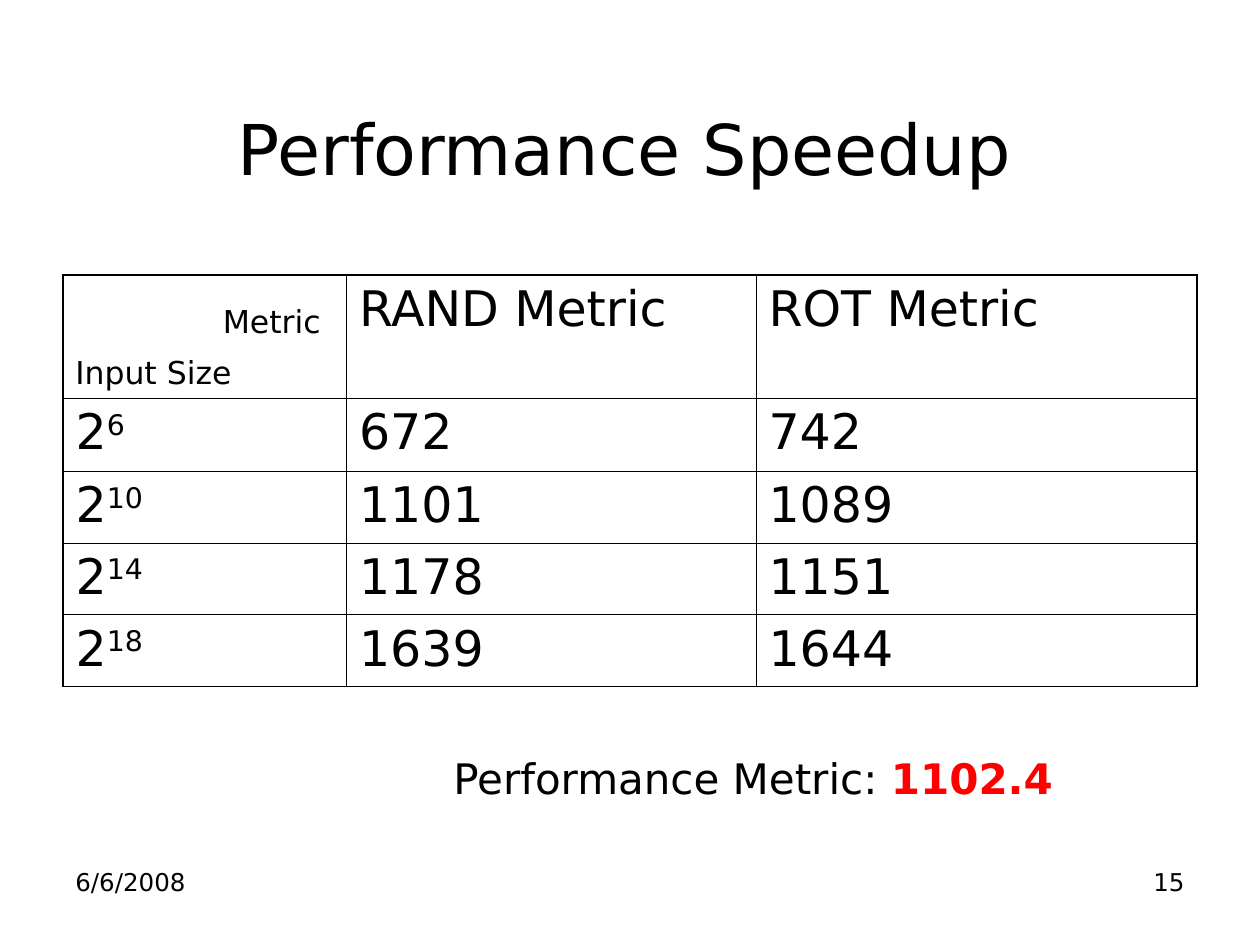
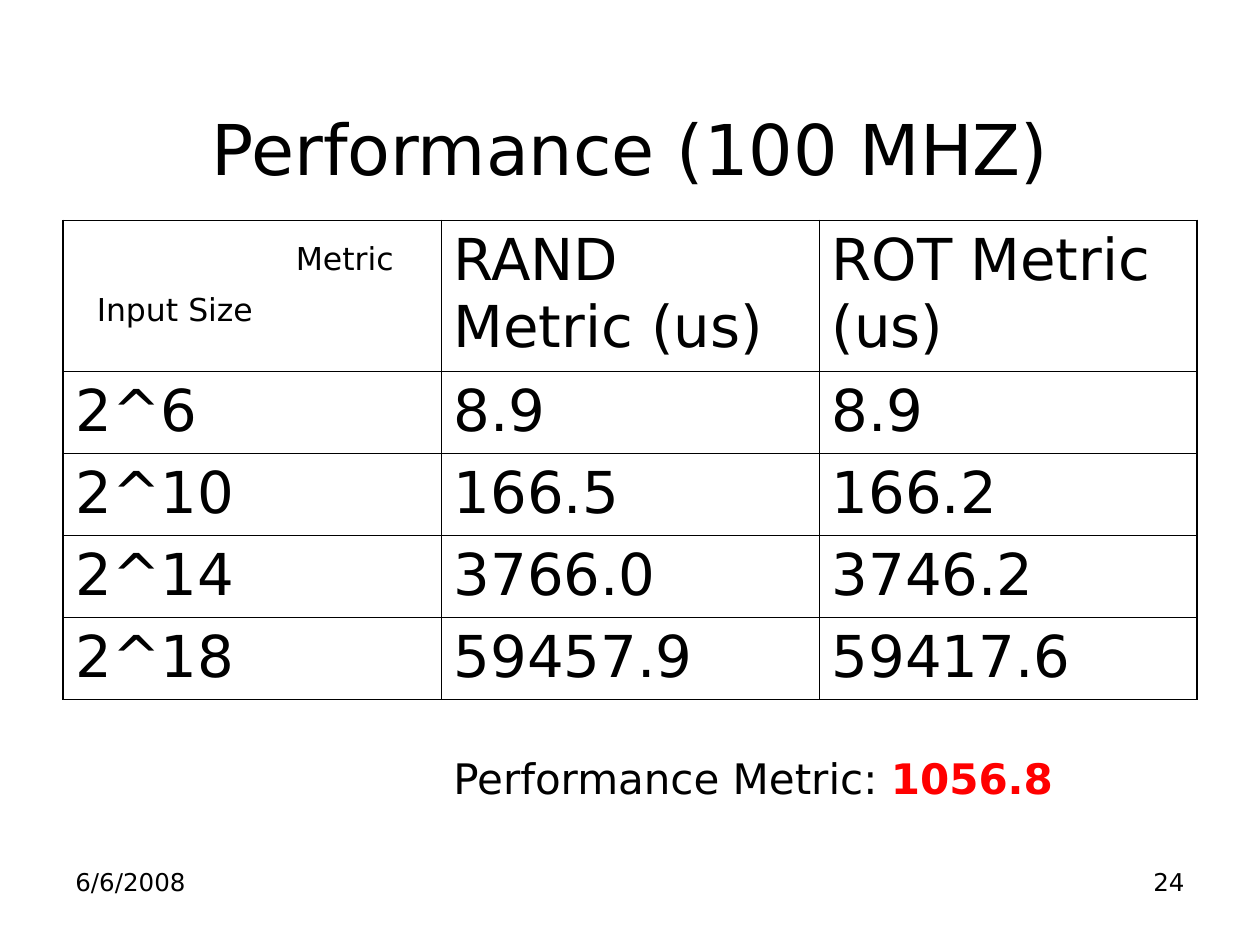
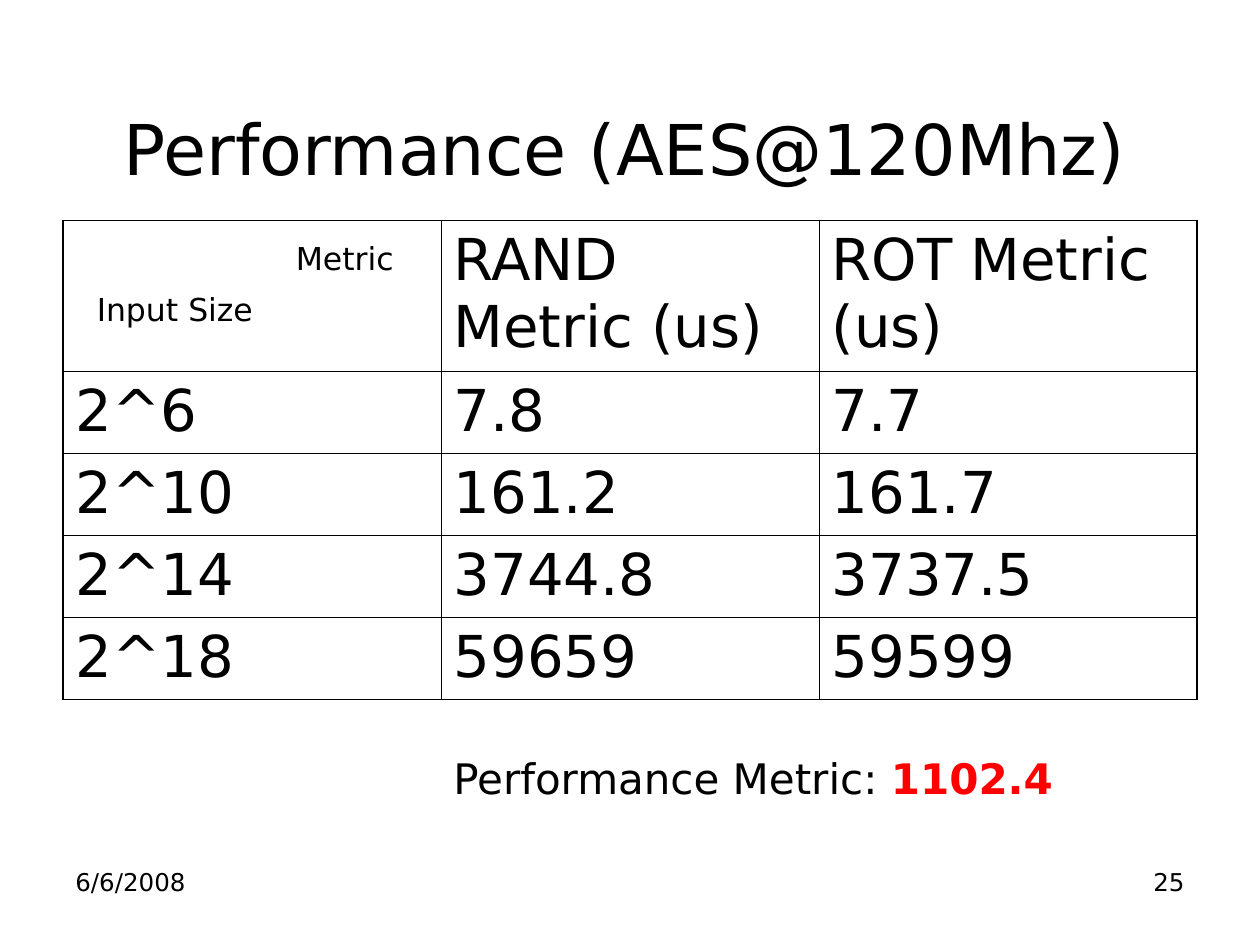
from dataclasses import dataclass
from typing import Optional

import pptx
import pptx.dml.color
import pptx.enum.text
import pptx.oxml
import pptx.oxml.ns
import pptx.util
from pptx.util import Inches

# Shared look
FONT = "DejaVu Sans"
BLACK = "000000"
RED = "FF0000"
OUTER_PT, INNER_PT = 1.08, 0.45
LEFT, RIGHT, CENTER = (
    pptx.enum.text.PP_ALIGN.LEFT,
    pptx.enum.text.PP_ALIGN.RIGHT,
    pptx.enum.text.PP_ALIGN.CENTER,
)
DATE = "6/6/2008"
SIZES = ("2^6", "2^10", "2^14", "2^18")


@dataclass(frozen=True)
class Box:
    left: float
    top: float
    width: float
    height: float


@dataclass(frozen=True)
class TableStyle:
    top: float
    columns: tuple[float, ...]
    rows: tuple[float, ...]
    font_pt: float
    space_pt: float
    unit: str
    superscript: bool
    metric_at: tuple[float, float]
    input_at: tuple[float, float]


@dataclass(frozen=True)
class ResultSlide:
    number: int
    title: str
    title_box: Box
    style: TableStyle
    rand: tuple[str, ...]
    rot: tuple[str, ...]
    score: str


WIDE_TITLE = Box(0.33, 0.3, 9.25, 1.25)
TITLE = Box(0.5, 0.3, 9, 1.25)
DATE_BOX = Box(0.5, 6.83, 2.33, 0.52)
NUMBER_BOX = Box(7.17, 6.83, 2.33, 0.52)
SCORE_BOX = Box(3.5, 5.92, 6.17, 0.5)

SPEEDUP = TableStyle(2.18, (2.25, 3.25, 3.5), (0.98, 0.58, 0.57, 0.57, 0.57),
                     28, 7, "", True, (1.67, 2.35), (0.5, 2.75))
TIMING = TableStyle(1.75, (3, 3, 3), (1.2,) + (0.65,) * 4,
                    33, 8.2, " (us)", False, (2.25, 1.85), (0.67, 2.25))

SLIDES = (
    ResultSlide(15, "Performance Speedup", WIDE_TITLE, SPEEDUP,
                ("672", "1101", "1178", "1639"),
                ("742", "1089", "1151", "1644"), "1102.4"),
    ResultSlide(24, "Performance (100 MHZ)", TITLE, TIMING,
                ("8.9", "166.5", "3766.0", "59457.9"),
                ("8.9", "166.2", "3746.2", "59417.6"), "1056.8"),
    ResultSlide(25, "Performance (AES@120Mhz)", WIDE_TITLE, TIMING,
                ("7.8", "161.2", "3744.8", "59659"),
                ("7.7", "161.7", "3737.5", "59599"), "1102.4"),
)


def rgb(color: str) -> pptx.dml.color.RGBColor:
    return pptx.dml.color.RGBColor.from_string(color)


def format_run(r, size: float, color: str = BLACK, bold: bool = False) -> None:
    r.font.name = FONT
    r.font.size = pptx.util.Pt(size)
    r.font.color.rgb = rgb(color)
    r.font.bold = bold


def add_text(s, box: Box, text: str, size: float, align=LEFT,
             space: Optional[float] = None, title: bool = False):
    """Add a text box and return its paragraph; a given space makes it grow."""
    sp = s.shapes.add_textbox(Inches(box.left), Inches(box.top),
                              Inches(box.width), Inches(box.height))
    tf = sp.text_frame
    tf.word_wrap = True
    tf.text = text
    if title:
        tf.vertical_anchor = pptx.enum.text.MSO_ANCHOR.BOTTOM
    p = tf.paragraphs[0]
    p.alignment = align
    if space is not None:
        tf.auto_size = pptx.enum.text.MSO_AUTO_SIZE.SHAPE_TO_FIT_TEXT
        p.space_before = pptx.util.Pt(space)
    format_run(p.runs[0], size)
    return p


def set_borders(cell, outer_sides: dict[str, bool]) -> None:
    """Draw the four cell borders, heavier on the table's outer edge."""
    tc_pr = cell._tc.get_or_add_tcPr()
    for i, (side, outer) in enumerate(outer_sides.items()):
        width = pptx.util.Pt(OUTER_PT if outer else INNER_PT)
        tc_pr.insert(i, pptx.oxml.parse_xml(
            f'<a:ln{side} {pptx.oxml.ns.nsdecls("a")} w="{width}">'
            f'<a:solidFill><a:srgbClr val="{BLACK}"/></a:solidFill></a:ln{side}>'))


def fill_cell(cell, text: str, style: TableStyle) -> None:
    p = cell.text_frame.paragraphs[0]
    p.space_before = pptx.util.Pt(style.space_pt)
    base, mark, power = text.partition("^") if style.superscript else (text, "", "")
    p.text = base
    if mark:
        r = p.add_run()
        r.text = power
        r._r.get_or_add_rPr().set("baseline", "30000")
    for r in p.runs:
        format_run(r, style.font_pt)


def add_results(s, data: ResultSlide) -> None:
    style = data.style
    header = ("", f"RAND Metric{style.unit}", f"ROT Metric{style.unit}")
    values = (header, *zip(SIZES, data.rand, data.rot))
    table = s.shapes.add_table(
        len(style.rows), len(style.columns), Inches(0.5), Inches(style.top),
        Inches(sum(style.columns)), Inches(sum(style.rows))).table
    table.first_row = table.horz_banding = False
    for column, width in zip(table.columns, style.columns):
        column.width = Inches(width)
    for row, height in zip(table.rows, style.rows):
        row.height = Inches(height)
    last_row, last_col = len(style.rows) - 1, len(style.columns) - 1
    for i, row_values in enumerate(values):
        for j, text in enumerate(row_values):
            cell = table.cell(i, j)
            cell.fill.background()
            set_borders(cell, {"L": j == 0, "R": j == last_col,
                               "T": i == 0, "B": i == last_row})
            if text:
                fill_cell(cell, text, style)

    # Labels of the corner cell
    for label, (left, top) in (("Metric", style.metric_at),
                               ("Input Size", style.input_at)):
        add_text(s, Box(left, top, 1.5, 0.4), label, 18, space=11.2)


def add_result_slide(prs, data: ResultSlide) -> None:
    s = prs.slides.add_slide(prs.slide_layouts[6])

    # Footer and title
    add_text(s, DATE_BOX, DATE, 14)
    add_text(s, NUMBER_BOX, str(data.number), 14, RIGHT)
    add_text(s, data.title_box, data.title, 40, CENTER, title=True)

    add_results(s, data)

    # Overall score
    p = add_text(s, SCORE_BOX, "Performance Metric: ", 24, space=15)
    r = p.add_run()
    r.text = data.score
    format_run(r, 24, RED, bold=True)


def main() -> None:
    prs = pptx.Presentation()
    prs.slide_width, prs.slide_height = Inches(10), Inches(7.5)
    for data in SLIDES:
        add_result_slide(prs, data)
    prs.save("out.pptx")


if __name__ == "__main__":
    main()
